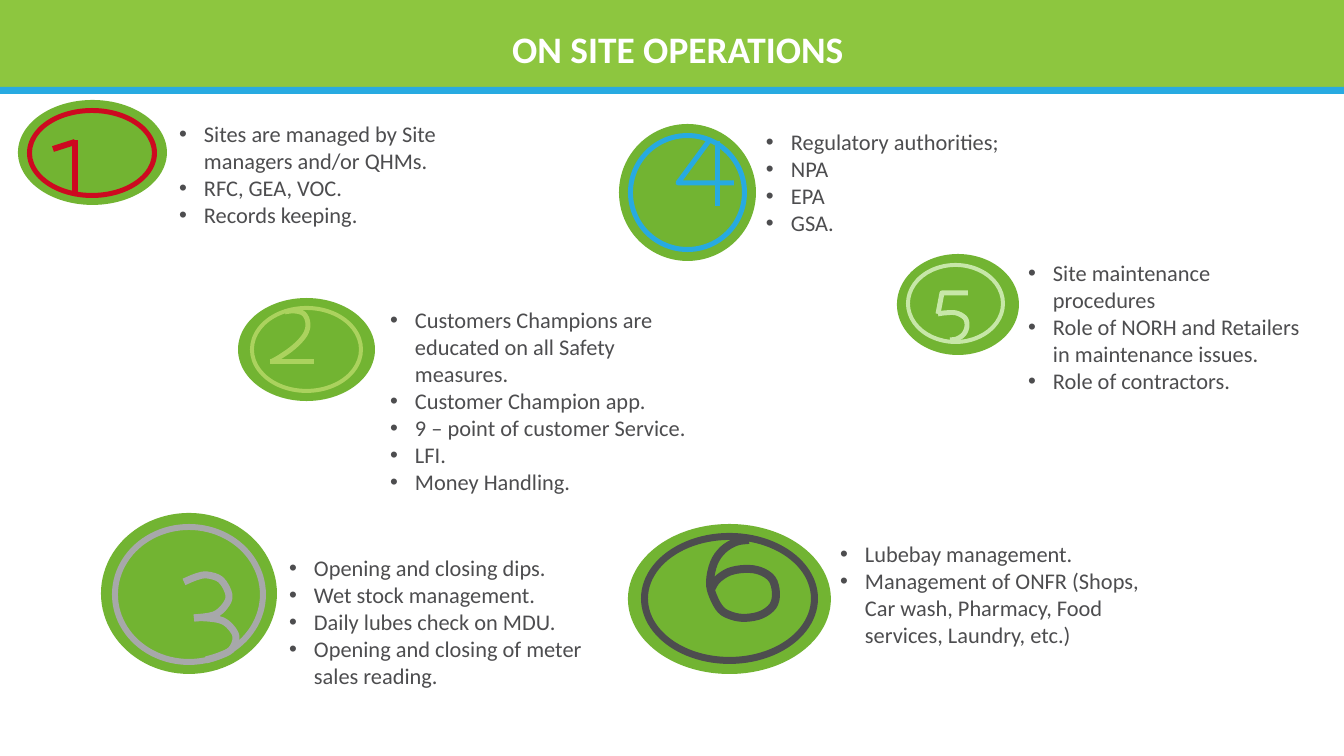
from lxml import etree
from pptx import Presentation
from pptx.dml.color import RGBColor
from pptx.enum.shapes import MSO_SHAPE
from pptx.enum.text import MSO_ANCHOR, MSO_AUTO_SIZE, PP_ALIGN
from pptx.oxml.ns import qn
from pptx.util import Pt

RECT, OVAL, DONUT = MSO_SHAPE.RECTANGLE, MSO_SHAPE.OVAL, MSO_SHAPE.DONUT
TOP, MIDDLE = MSO_ANCHOR.TOP, MSO_ANCHOR.MIDDLE
GROW, FIXED = MSO_AUTO_SIZE.SHAPE_TO_FIT_TEXT, MSO_AUTO_SIZE.NONE
LEFT, CENTER = PP_ALIGN.LEFT, PP_ALIGN.CENTER
SCALE = 914400 / 134.4
FONT = "Calibri"
INDENT = 25
COLORS = {
    "band": "8DC63F", "stripe": "27AAE1", "disc": "72B432", "text": "4D4D4F",
    "white": "FFFFFF", "red": "CD0920", "lime": "ABD25E", "grey": "A7A8AA",
    "blue": "27AAE1", "pale": "C7E7A8", "dark": "4D4D4F",
}

DIGITS = {
    1: [[(35, 49), (57, 42)], [(57, 40), (57, 94)]],
    2: [[(47, 14), (56, 13), (66, 16), (70, 26), (67, 37), (56, 49),
         (42, 59), (33, 64)], [(32, 64), (76, 64)]],
    3: [[(83, 69), (95, 64), (106, 62), (120, 67), (128, 82), (124, 93),
         (113, 102), (93, 105)],
        [(93, 105), (106, 105), (122, 108), (132, 117), (135, 126),
         (130, 137), (118, 143), (105, 147)]],
    4: [[(99, 17), (99, 82)], [(90, 17), (59, 59), (115, 59)]],
    5: [[(71, 39), (45, 39), (41, 60)],
        [(41, 60), (48, 59), (59, 59), (68, 64), (70, 72), (67, 80),
         (60, 85), (53, 86)]],
    6: [[(121, 16), (108, 18), (95, 26), (86, 39), (82, 58), (85, 72),
         (93, 86), (104, 92), (117, 94), (133, 91), (145, 82), (148, 69),
         (144, 55), (132, 47), (117, 45), (101, 48), (89, 56), (84, 64)]],
}

TOPICS = [
    (1, "red", (18, 100, 149, 105), (9, 8, 130, 90), 5, 6, (161, 14, 344, 149),
     ["Sites are managed by Site managers and/or QHMs.", "RFC, GEA, VOC.",
      "Records keeping."]),
    (3, "grey", (101, 513, 176, 161), (11, 11, 154, 141), 6, 7,
     (188, 35, 304, 149),
     ["Opening and closing dips.", "Wet stock management.",
      "Daily lubes check on MDU.",
      "Opening and closing of meter sales reading."]),
    (5, "pale", (897, 254, 122, 101), (9, 9, 99, 81), 4, 5,
     (131, -1, 281, 176),
     ["Site maintenance procedures",
      "Role of NORH and Retailers in maintenance issues.",
      "Role of contractors."]),
    (2, "lime", (238, 298, 137, 103), (12, 8, 113, 87), 4, 5,
     (152, 2, 304, 203),
     ["Customers Champions are educated on all Safety measures.",
      "Customer Champion app.", "9 – point of customer Service.", "LFI.",
      "Money Handling."]),
    (4, "blue", (619, 124, 137, 137), (9, 9, 119, 119), 5, 5,
     (147, -2, 281, 203),
     ["Regulatory authorities;", "NPA", "EPA", "GSA."]),
    (6, "dark", (628, 524, 203, 150), (13, 9, 177, 131), 7, 8,
     (212, 10, 319, 122),
     ["Lubebay management.",
      "Management of ONFR (Shops, Car wash, Pharmacy, Food services, "
      "Laundry, etc.)"]),
]


def px(n):
    return round(n * SCALE)


def rgb(name):
    return RGBColor.from_string(COLORS[name])


def shift(box, x, y):
    return (box[0] + x, box[1] + y, *box[2:])


def add_form(shapes, kind, box, color):
    form = shapes.add_shape(kind, *map(px, box))
    form.shadow.inherit = False
    form.fill.solid()
    form.fill.fore_color.rgb = rgb(color)
    form.line.fill.background()
    return form


def add_run(para, text, size, color, bold=False):
    run = para.add_run()
    run.text = text
    run.font.name = FONT
    run.font.size = Pt(size)
    run.font.bold = bold
    run.font.color.rgb = rgb(color)


def add_head(slide, box):
    x, y, w, h = box
    add_form(slide.shapes, RECT, (x, y, w, h - 7), "band")
    add_form(slide.shapes, RECT, (x, y + h - 7, w, 7), "stripe")
    title = slide.shapes.title
    title.element.getparent().append(title.element)
    title.left, title.top = px(x + 34), px(y + 21)
    title.width, title.height = px(1288), px(56)
    frame = title.text_frame
    frame.auto_size = FIXED
    frame.vertical_anchor = MIDDLE
    para = frame.paragraphs[0]
    para.alignment = CENTER
    add_run(para, "ON SITE OPERATIONS", 20, "white", True)


def smooth(dots):
    if len(dots) < 4:
        return dots
    ends = [dots[0], *dots, dots[-1]]
    curve = []
    for a, b, c, d in zip(ends, ends[1:], ends[2:], ends[3:]):
        for t in (0, 0.25, 0.5, 0.75):
            curve.append(tuple(
                q + t * (r - p) / 2 + t * t * (2 * p - 5 * q + 4 * r - s) / 2
                + t ** 3 * (3 * q - p - 3 * r + s) / 2
                for p, q, r, s in zip(a, b, c, d)))
    return curve + [dots[-1]]


def add_digit(shapes, digit, x, y, color, width):
    pen = None
    for stroke in DIGITS[digit]:
        dots = [(px(x + a), px(y + b)) for a, b in smooth(stroke)]
        if pen is None:
            pen = shapes.build_freeform(*dots[0])
        else:
            pen.move_to(*dots[0])
        pen.add_line_segments(dots[1:], close=False)
    form = pen.convert_to_shape()
    form.shadow.inherit = False
    form.fill.background()
    form.line.color.rgb = rgb(color)
    form.line.width = px(width)


def add_list(shapes, box, items):
    frame = shapes.add_textbox(*map(px, box)).text_frame
    frame.word_wrap = True
    frame.auto_size = GROW
    frame.vertical_anchor = TOP
    frame.margin_left = frame.margin_right = 0
    for i, item in enumerate(items):
        para = frame.add_paragraph() if i else frame.paragraphs[0]
        para.alignment = LEFT
        props = para._p.get_or_add_pPr()
        props.set("marL", str(px(INDENT)))
        props.set("indent", str(-px(INDENT)))
        etree.SubElement(props, qn("a:buFont")).set("typeface", "Arial")
        etree.SubElement(props, qn("a:buChar")).set("char", "•")
        add_run(para, item, 12, "text")


def add_topic(slide, digit, color, box, ring, thick, width, area, items):
    x, y, *_ = box
    shapes = slide.shapes.add_group_shape().shapes
    add_form(shapes, OVAL, box, "disc")
    hoop = add_form(shapes, DONUT, shift(ring, x, y), color)
    hoop.adjustments[0] = thick / min(ring[2:])
    add_digit(shapes, digit, x, y, color, width)
    add_list(shapes, shift(area, x, y), items)


def main():
    deck = Presentation()
    deck.slide_width, deck.slide_height = px(1344), px(756)
    slide = deck.slides.add_slide(deck.slide_layouts[5])
    add_head(slide, (0, 0, 1344, 94))
    for topic in TOPICS:
        add_topic(slide, *topic)
    deck.save("out.pptx")


if __name__ == "__main__":
    main()
